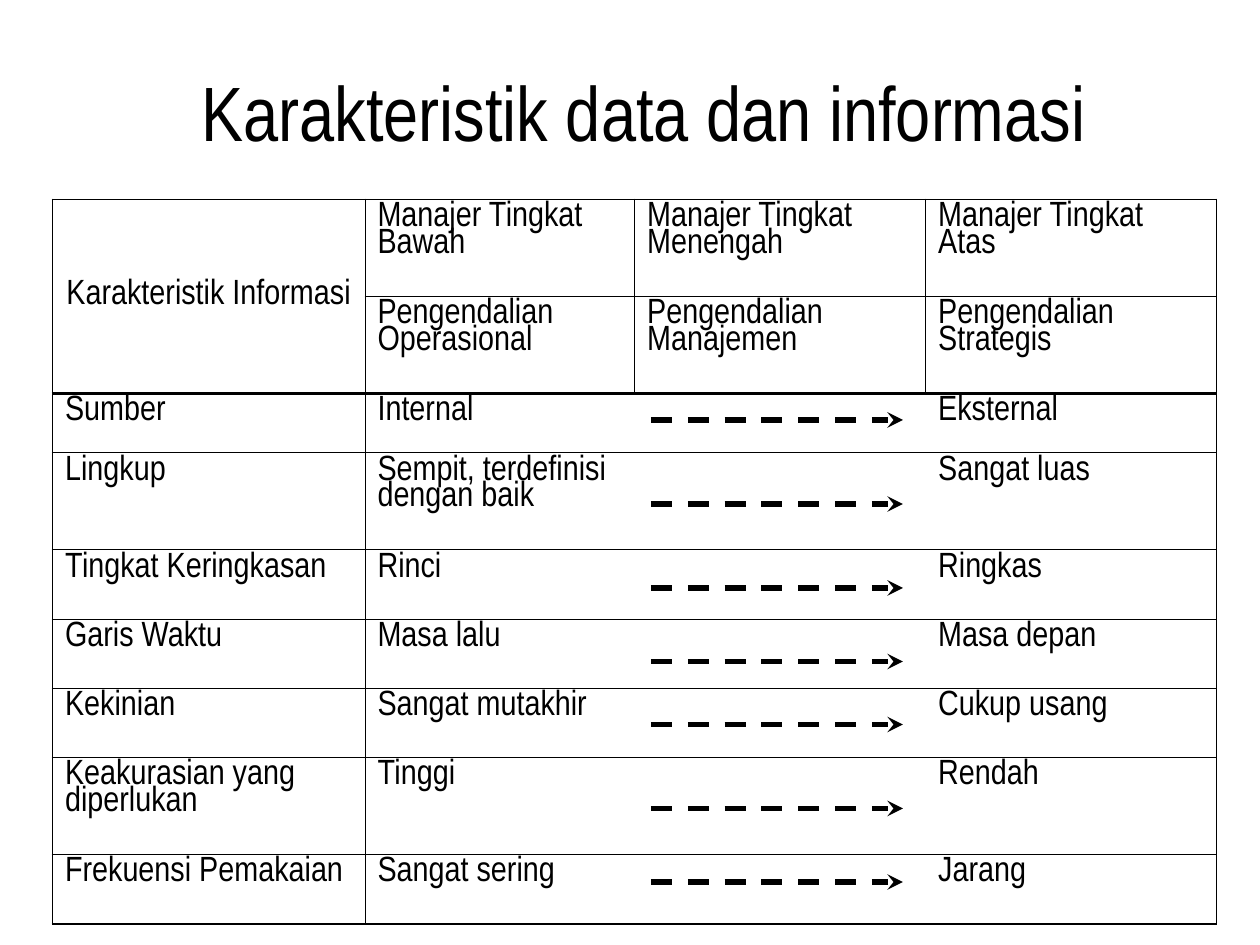
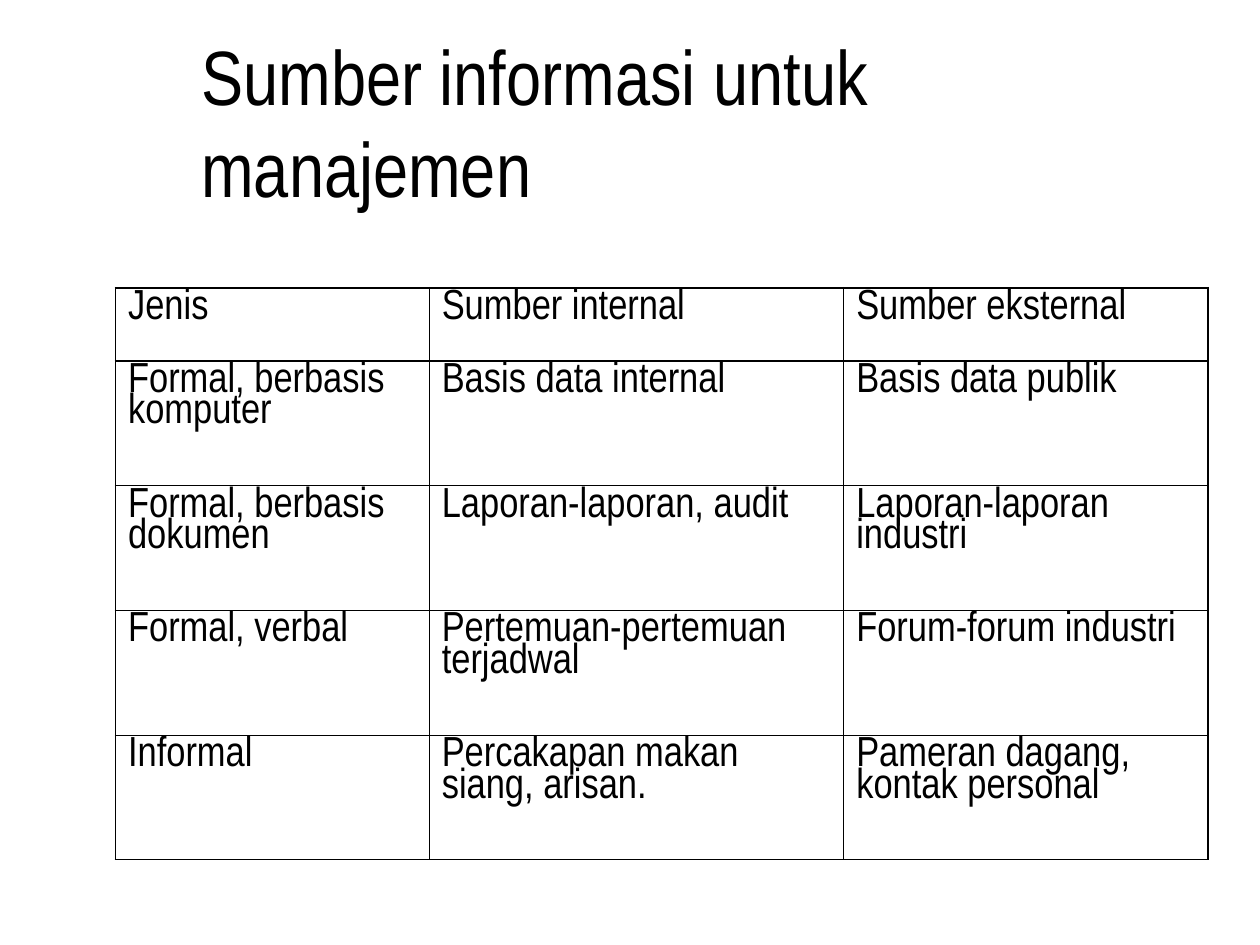
from lxml import etree
from pptx import Presentation
from pptx import util as u
from pptx.dml.color import RGBColor
from pptx.enum import dml, shapes, text
from pptx.oxml.ns import qn

BLACK = RGBColor(0x00, 0x00, 0x00)
FONT = "Arial Narrow"
OUTER, HEADER, INNER = 1.08, 1.47, 0.45
PLAIN_TABLE = "{2D5ABB26-0587-4C30-8999-92F81FD0307C}"

CHARACTERISTICS = [
    ["Karakteristik Informasi", "Manajer Tingkat Bawah", "Manajer Tingkat Menengah",
     "Manajer Tingkat Atas"],
    ["", "Pengendalian Operasional", "Pengendalian Manajemen", "Pengendalian Strategis"],
    ["Sumber", "Internal", "", "Eksternal"],
    ["Lingkup", "Sempit, terdefinisi dengan baik", "", "Sangat luas"],
    ["Tingkat Keringkasan", "Rinci", "", "Ringkas"],
    ["Garis Waktu", "Masa lalu", "", "Masa depan"],
    ["Kekinian", "Sangat mutakhir", "", "Cukup usang"],
    ["Keakurasian yang diperlukan", "Tinggi", "", "Rendah"],
    ["Frekuensi Pemakaian", "Sangat sering", "", "Jarang"],
]
SOURCES = [
    ["Jenis", "Sumber internal", "Sumber eksternal"],
    ["Formal, berbasis komputer", "Basis data internal", "Basis data publik"],
    ["Formal, berbasis dokumen", "Laporan-laporan, audit", "Laporan-laporan industri"],
    ["Formal, verbal", "Pertemuan-pertemuan terjadwal", "Forum-forum industri"],
    ["Informal", "Percakapan makan siang, arisan.", "Pameran dagang, kontak personal"],
]


def grid(count):
    """Length of some grid steps; the slide is 120 by 90 steps."""
    return u.Inches(count / 12)


def style_text(paragraph, size):
    paragraph.font.name = FONT
    paragraph.font.size = u.Pt(size)
    paragraph.font.color.rgb = BLACK


def add_titled_slide(presentation, title, top):
    slide = presentation.slides.add_slide(presentation.slide_layouts[6])
    frame = slide.shapes.add_textbox(grid(18), grid(top), grid(97), grid(15)).text_frame
    frame.word_wrap = True
    frame.vertical_anchor = text.MSO_ANCHOR.MIDDLE
    frame.text = title
    style_text(frame.paragraphs[0], 44)
    return slide


def set_border(cell, side, width):
    """Draw one side (L, R, T or B) of a cell; no width means no line."""
    line = etree.SubElement(cell._tc.get_or_add_tcPr(), qn(f"a:ln{side}"))
    if not width:
        etree.SubElement(line, qn("a:noFill"))
        return
    line.set("w", str(u.Pt(width)))
    fill = etree.SubElement(line, qn("a:solidFill"))
    etree.SubElement(fill, qn("a:srgbClr"), val=str(BLACK))


def add_grid_table(slide, rows, left, top, widths, heights, size, header_rows, open_edges=()):
    """Add a ruled table; open_edges are column edges left undrawn below the header."""
    table = slide.shapes.add_table(len(rows), len(widths), grid(left), grid(top),
                                   u.Inches(sum(widths)), u.Inches(sum(heights))).table
    table.first_row = table.horz_banding = False
    table._tbl.tblPr.find(qn("a:tableStyleId")).text = PLAIN_TABLE
    for column, width in zip(table.columns, widths):
        column.width = u.Inches(width)
    for row, height in zip(table.rows, heights):
        row.height = u.Inches(height)
    if header_rows > 1:
        table.cell(0, 0).merge(table.cell(header_rows - 1, 0))

    def row_edge(index):
        if index in (0, len(rows)):
            return OUTER
        return HEADER if index == header_rows else INNER

    def column_edge(row_index, index):
        if index in (0, len(widths)):
            return OUTER
        return 0 if row_index >= header_rows and index in open_edges else INNER

    for i, row in enumerate(rows):
        for j, words in enumerate(row):
            cell = table.cell(i, j)
            if cell.is_spanned:
                continue
            bottom = i + (cell.span_height if cell.is_merge_origin else 1)
            set_border(cell, "L", column_edge(i, j))
            set_border(cell, "R", column_edge(i, j + 1))
            set_border(cell, "T", row_edge(i))
            set_border(cell, "B", row_edge(bottom))
            cell.fill.background()
            cell.text = words
            paragraph = cell.text_frame.paragraphs[0]
            style_text(paragraph, size)
            paragraph.line_spacing = 0.8
            paragraph.space_before = u.Pt(size / 4)
            if cell.is_merge_origin:
                cell.vertical_anchor = text.MSO_ANCHOR.MIDDLE
                paragraph.alignment = text.PP_ALIGN.CENTER


def add_dashed_arrow(slide, left, right, height):
    arrow = slide.shapes.add_connector(shapes.MSO_CONNECTOR.STRAIGHT, grid(left), grid(height),
                                       grid(right), grid(height))
    arrow.line.color.rgb = BLACK
    arrow.line.width = u.Pt(3)
    arrow.line.dash_style = dml.MSO_LINE.DASH
    properties = arrow._element.spPr
    etree.SubElement(properties.find(qn("a:ln")), qn("a:tailEnd"), type="stealth")
    etree.SubElement(properties, qn("a:effectLst"))


def main():
    presentation = Presentation()
    presentation.slide_width, presentation.slide_height = grid(120), grid(90)

    slide = add_titled_slide(presentation, "Karakteristik data dan informasi", 3)
    single, double = 0.55, 0.77
    add_grid_table(slide, CHARACTERISTICS, 5, 19, [2.48, 2.14, 2.31, 2.31],
                   [double, double, 0.47, double, single, single, single, double, single],
                   size=20, header_rows=2, open_edges=(2, 3))
    for height in (40, 48, 56, 63, 69, 77, 84):
        add_dashed_arrow(slide, 62, 86, height)

    slide = add_titled_slide(presentation, "Sumber informasi untuk manajemen", 4)
    add_grid_table(slide, SOURCES, 11, 27.4, [2.49, 3.29, 2.89], [0.58] + [0.99] * 4,
                   size=24, header_rows=1)

    presentation.save("out.pptx")


if __name__ == "__main__":
    main()
